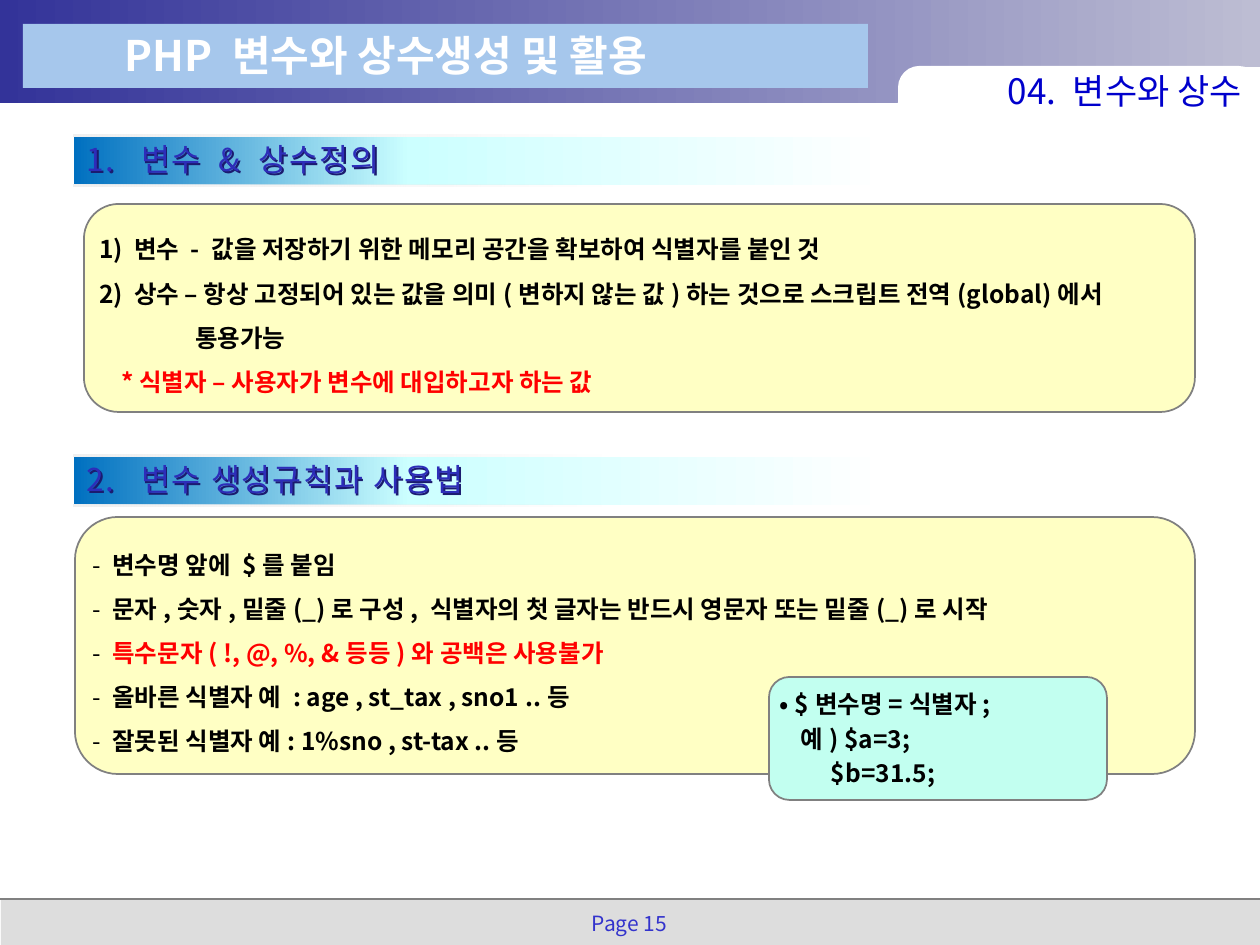
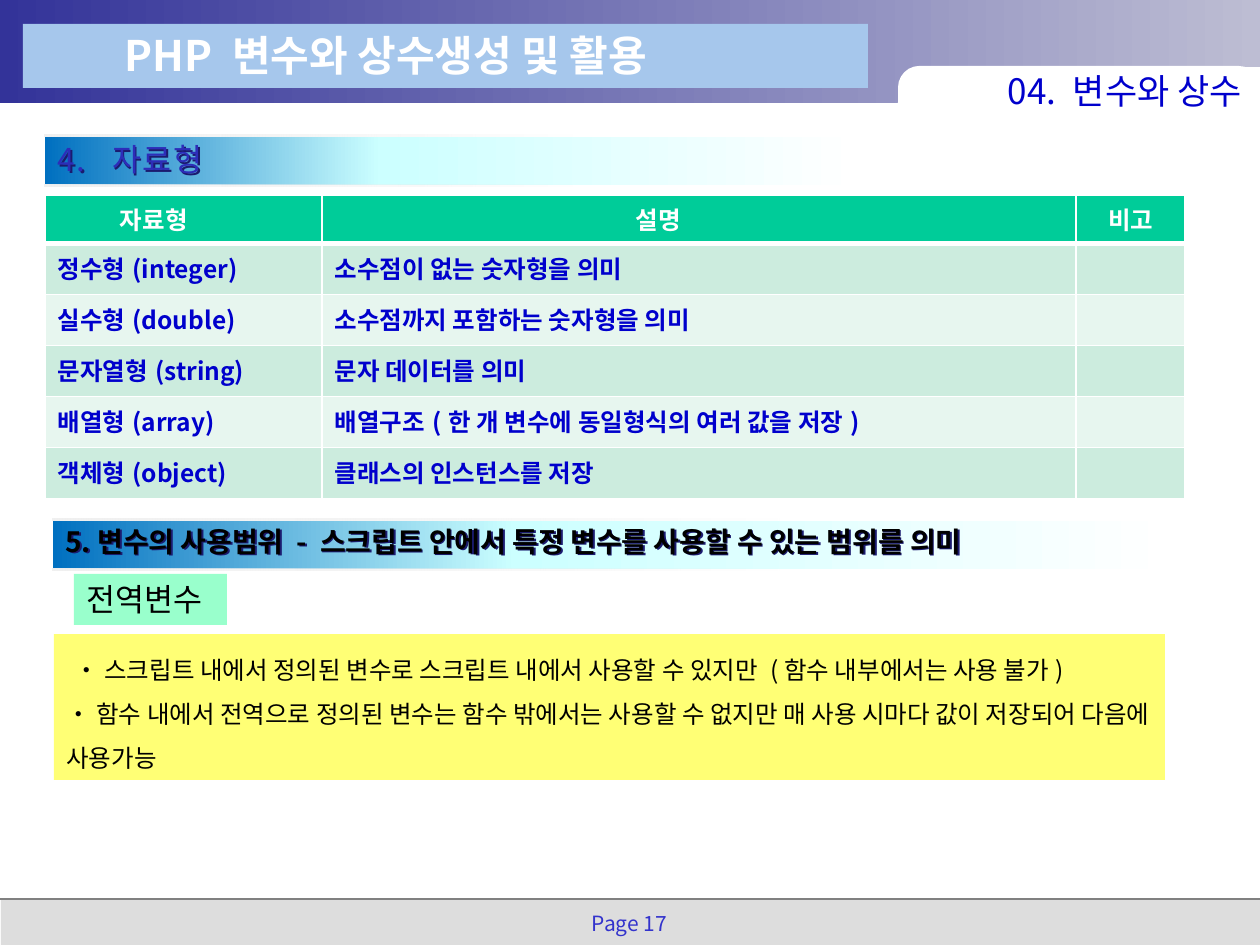
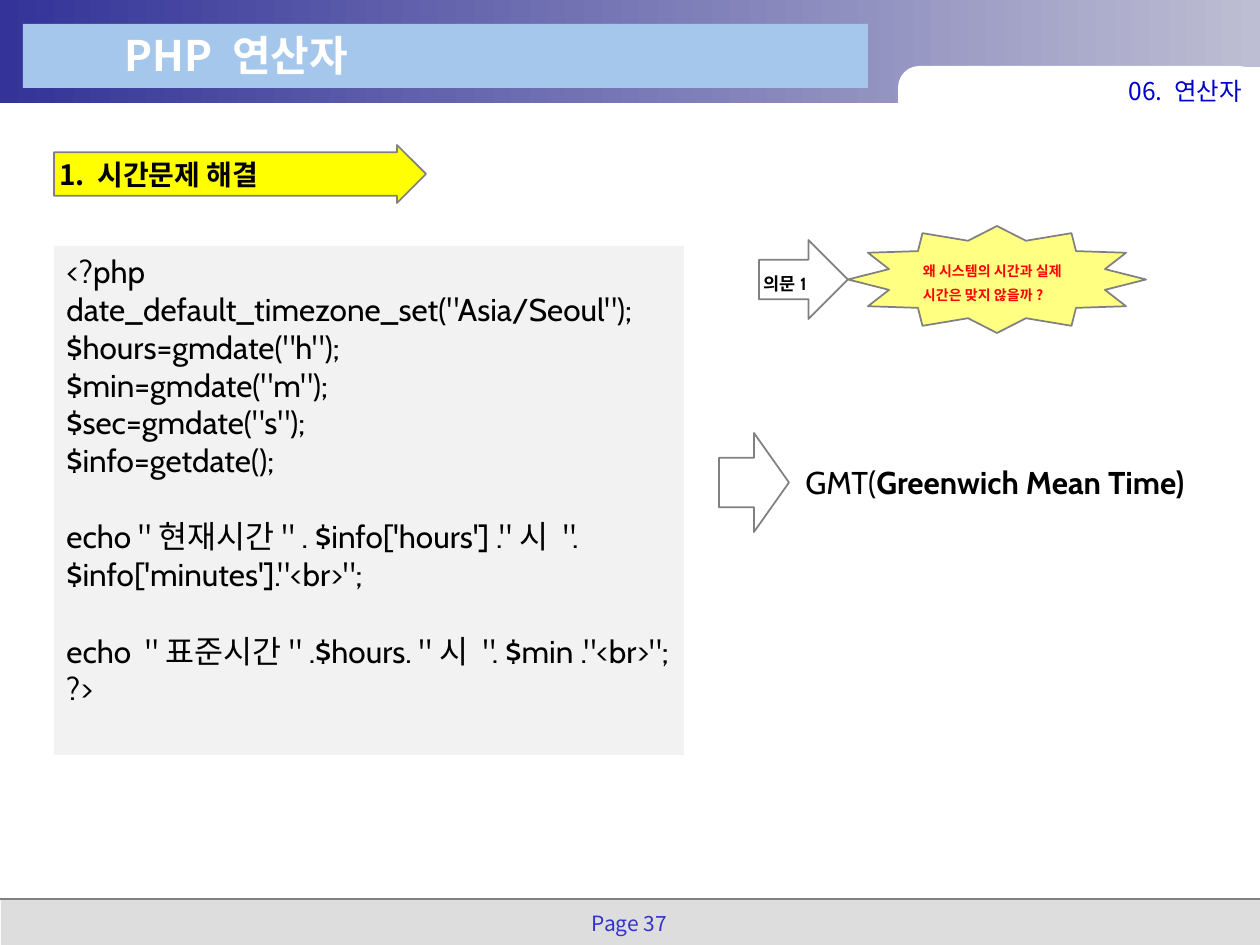
"""Build three slides of a PHP lecture on variables, data types and time functions."""
import lxml.etree
import pptx
import pptx.dml.color
import pptx.enum.shapes
import pptx.enum.text
import pptx.oxml.ns
import pptx.util

PIXEL = 914400 / 126
KOREAN, LATIN = "Noto Sans CJK KR", "Cabin"
BLACK, WHITE, RED, BLUE, GRAY = "000000", "FFFFFF", "FF0000", "0000CC", "808080"
YELLOW, MINT, PALE_MINT = "FFFF00", "CCECDE", "E7F6EF"
HEADING_STOPS = [(0, "0070C0", 100), (40, "CCFFFF", 100), (97, WHITE, 100)]
STRIP_STOPS = [(0, "F0F0F0", 100), (100, "EAEAEA", 0)]

KIND = pptx.enum.shapes.MSO_SHAPE
ALIGN = pptx.enum.text.PP_ALIGN
ANCHOR = pptx.enum.text.MSO_ANCHOR
qn = pptx.oxml.ns.qn


def paint(fill, colour):
    """Give a fill one solid hex colour, or none."""
    if colour is None:
        fill.background()
    else:
        fill.solid()
        fill.fore_color.rgb = pptx.dml.color.RGBColor.from_string(colour)


def dress(target, at=None, fill=None, line=None, alpha=None, stops=None, paragraphs=(),
          font=None, layout=None, margin=None, anchor=ANCHOR.TOP, wrap=True):
    """Place and paint a shape, or paint a table cell, and write its paragraphs."""
    paint(target.fill, fill)
    if at:
        for name, length in zip(("left", "top", "width", "height"), at):
            setattr(target, name, round(length * PIXEL))
        paint(target.line.fill, line)
        if line:
            target.line.width = pptx.util.Pt(1)
        target.shadow.inherit = False
        properties = target.element.spPr
        if alpha:
            colour = properties.find(qn("a:solidFill") + "/" + qn("a:srgbClr"))
            lxml.etree.SubElement(colour, qn("a:alpha"), val=str(alpha * 1000))
        if stops:
            target.fill.gradient()
            target.fill.gradient_angle = 0
            stop_list = properties.find(".//" + qn("a:gsLst"))
            stop_list.clear()
            for position, value, opacity in stops:
                stop = lxml.etree.SubElement(stop_list, qn("a:gs"), pos=str(position * 1000))
                colour = lxml.etree.SubElement(stop, qn("a:srgbClr"), val=value)
                lxml.etree.SubElement(colour, qn("a:alpha"), val=str(opacity * 1000))
        target.text_frame.word_wrap = wrap
        target.text_frame.auto_size = pptx.enum.text.MSO_AUTO_SIZE.NONE
        target.text_frame.vertical_anchor = anchor
        if margin is not None:
            for side in ("left", "top", "right", "bottom"):
                setattr(target.text_frame, "margin_" + side, round(margin * PIXEL))
    frame = target.text_frame
    for index, entry in enumerate(paragraphs):
        content, own_layout = entry if isinstance(entry, tuple) else (entry, {})
        paragraph = frame.paragraphs[0] if index == 0 else frame.add_paragraph()
        settings = {"alignment": ALIGN.LEFT, **(layout or {}), **own_layout}
        indent = settings.pop("indent", 0)
        for name, value in settings.items():
            setattr(paragraph, name, value)
        if indent:
            paragraph._p.get_or_add_pPr().set("marL", str(round(indent * PIXEL)))
        for text, own_font in [(content, {})] if isinstance(content, str) else content:
            run = paragraph.add_run()
            run.text = text
            style = {"size": 14, "bold": False, "name": KOREAN, "colour": BLACK,
                     **(font or {}), **own_font}
            paint(run.font.fill, style.pop("colour"))
            style["size"] = pptx.util.Pt(style["size"])
            for name, value in style.items():
                setattr(run.font, name, value)
            lxml.etree.SubElement(run.font._element, qn("a:ea"), typeface=KOREAN)
    return target


presentation = pptx.Presentation()
presentation.slide_width = round(1260 * PIXEL)
presentation.slide_height = round(945 * PIXEL)
title_only = presentation.slide_layouts[5]
for placeholder in list(title_only.placeholders):
    if placeholder.placeholder_format.idx != 0:
        placeholder.element.getparent().remove(placeholder.element)
slides = [presentation.slides.add_slide(title_only) for _ in range(3)]
variables, types, operators = slides

frame_parts = [
    (KIND.RECTANGLE, (1, 899, 1259, 49), {"fill": "DDDDDD"}),
    (KIND.RECTANGLE, (0, 0, 1260, 103),
     {"stops": [(0, "333399", 100), (100, "BDBDD3", 100)]}),
    (KIND.ROUNDED_RECTANGLE, (898, 66, 362, 74), {"fill": WHITE}),
    (KIND.RECTANGLE, (1147, 67, 113, 30), {"fill": WHITE}),
    (KIND.RECTANGLE, (23, 24, 845, 64), {"fill": "A6C7EC"}),
]
for kind, at, formats in frame_parts:
    part = dress(variables.shapes.add_shape(kind, 0, 0, 0, 0), at, **formats)
    if kind == KIND.ROUNDED_RECTANGLE:
        part.adjustments[0] = 0.29
    title_only.shapes.element.append(part.element)
footer_line = variables.shapes.add_connector(
    pptx.enum.shapes.MSO_CONNECTOR.STRAIGHT, 0, round(899 * PIXEL),
    presentation.slide_width, round(899 * PIXEL))
paint(footer_line.line.fill, GRAY)
footer_line.line.width = pptx.util.Pt(1)
lxml.etree.SubElement(footer_line.element.spPr, qn("a:effectLst"))
title_only.shapes.element.append(footer_line.element)

slide_labels = [
    ("PHP 변수와 상수생성 및 활용", "04. 변수와 상수", 20, "Page 15"),
    ("PHP 변수와 상수생성 및 활용", "04. 변수와 상수", 20, "Page 17"),
    ("PHP 연산자", "06. 연산자", 14, "Page 37"),
]
for slide, (title, section, section_size, page) in zip(slides, slide_labels):
    dress(slide.shapes.title, (112, 23, 626, 63), paragraphs=[title],
          font={"size": 24, "bold": True, "colour": WHITE})
    dress(slide.shapes.add_textbox(0, 0, 0, 0), (907, 64, 340, 53), paragraphs=[section],
          font={"size": section_size, "colour": BLUE}, layout={"alignment": ALIGN.RIGHT},
          margin=5, anchor=ANCHOR.MIDDLE)
    dress(slide.shapes.add_textbox(0, 0, 0, 0), (573, 907, 113, 35), paragraphs=[page],
          font={"size": 12, "colour": "3333CC"},
          layout={"alignment": ALIGN.CENTER, "line_spacing": 0.9})

heading_font = {"size": 18, "colour": "2D2DB9"}
headings = [
    (variables, "1.  변수 & 상수정의", 74, 137, 840, heading_font),
    (variables, "2.  변수 생성규칙과 사용법", 74, 457, 840, heading_font),
    (types, "4.  자료형", 45, 137, 840, heading_font),
    (types, "5.변수의 사용범위 - 스크립트 안에서 특정 변수를 사용할 수 있는 범위를 의미",
     53, 521, 1156, {"size": 16, "bold": True}),
]
for slide, text, left, top, width, font in headings:
    group = slide.shapes.add_group_shape()
    strip_width = round(width * 0.63)
    for at, stops in [((left, top, width, 48), HEADING_STOPS),
                      ((left, top - 2, strip_width, 2), STRIP_STOPS),
                      ((left, top + 48, strip_width, 2), STRIP_STOPS)]:
        dress(group.shapes.add_shape(KIND.RECTANGLE, 0, 0, 0, 0), at, stops=stops)
    label = dress(group.shapes.add_textbox(0, 0, 0, 0), (left, top - 3, width + 4, 50),
                  paragraphs=[text], font=font)
    if font is heading_font:
        label.text_frame.paragraphs[0].runs[0].font._element.set("spc", "100")
    shadow = lxml.etree.SubElement(label.element.spPr.find(qn("a:effectLst")),
                                   qn("a:outerShdw"), dist="17961", dir="2700000")
    lxml.etree.SubElement(shadow, qn("a:srgbClr"), val="1B1B6F")

bold, red = {"bold": True}, {"bold": True, "colour": RED}
spacious = {"line_spacing": 1.5}
panel = {"line": GRAY, "margin": 5, "anchor": ANCHOR.MIDDLE}
definitions = [
    "1) 변수 - 값을 저장하기 위한 메모리 공간을 확보하여 식별자를 붙인 것",
    "2) 상수 – 항상 고정되어 있는 값을 의미(변하지 않는 값)하는 것으로 스크립트 전역(global)에서",
    ("통용가능", {"indent": 96}),
    ([("*식별자 – 사용자가 변수에 대입하고자 하는 값", red)], {"indent": 22}),
]
rules = [
    ("변수명 앞에 $를 붙임", bold),
    ("문자,숫자,밑줄(_)로 구성, 식별자의 첫 글자는 반드시 영문자 또는 밑줄(_)로 시작", bold),
    ("특수문자( !, @, %, &등등)와 공백은 사용불가", red),
    ("올바른 식별자 예 : age , st_tax , sno1 ..등", bold),
    ("잘못된 식별자 예: 1%sno , st-tax ..등", bold),
]
example = ["• $변수명=식별자;", ("예) $a=3;", {"indent": 21}), ("$b=31.5;", {"indent": 51})]
variable_panels = [
    ((84, 204, 1111, 208), {"fill": YELLOW, "alpha": 23, "paragraphs": definitions,
                            "font": bold, "layout": spacious}),
    ((75, 517, 1120, 257), {"fill": YELLOW, "alpha": 23, "layout": spacious,
                            "paragraphs": [[("- ", {}), rule] for rule in rules]}),
    ((769, 677, 338, 123), {"fill": "C2FFF0", "paragraphs": example, "font": bold,
                            "layout": {"space_before": pptx.util.Pt(2.8)}}),
]
for at, formats in variable_panels:
    dress(variables.shapes.add_shape(KIND.ROUNDED_RECTANGLE, 0, 0, 0, 0), at,
          **panel, **formats)

type_rows = [
    ("자료형", "설명", "비고"),
    ("정수형(integer)", "소수점이 없는 숫자형을 의미", ""),
    ("실수형(double)", "소수점까지 포함하는 숫자형을 의미", ""),
    ("문자열형(string)", "문자 데이터를 의미", ""),
    ("배열형(array)", "배열구조(한 개 변수에 동일형식의 여러 값을 저장)", ""),
    ("객체형(object)", "클래스의 인스턴스를 저장", ""),
]
column_widths = [277, 754, 109]
header_right_margins = [72, 94, 12]
table = types.shapes.add_table(
    len(type_rows), len(column_widths),
    *[round(length * PIXEL) for length in (45, 195, sum(column_widths), 277)]).table
for column, width in zip(table.columns, column_widths):
    column.width = round(width * PIXEL)
for row_index, row in enumerate(type_rows):
    table.rows[row_index].height = round(46.2 * PIXEL)
    for column_index, text in enumerate(row):
        cell = table.cell(row_index, column_index)
        header = row_index == 0
        dress(cell, fill="00CC99" if header else MINT if row_index % 2 else PALE_MINT,
              paragraphs=[text] if text else [],
              font={"bold": True, "colour": WHITE if header else BLUE},
              layout={"alignment": ALIGN.CENTER if header else ALIGN.LEFT})
        if header:
            cell.margin_right = round(header_right_margins[column_index] * PIXEL)
        cell_properties = cell._tc.get_or_add_tcPr()
        for position, side in enumerate(("lnL", "lnR", "lnT", "lnB")):
            thick = (header and side == "lnB") or (row_index == 1 and side == "lnT")
            border = lxml.etree.Element(qn("a:" + side), w="38100" if thick else "12700")
            border_fill = lxml.etree.SubElement(border, qn("a:solidFill"))
            lxml.etree.SubElement(border_fill, qn("a:srgbClr"), val=WHITE)
            cell_properties.insert(position, border)

global_notes = [
    ("• 스크립트 내에서 정의된 변수로 스크립트 내에서 사용할 수 있지만 (함수 내부에서는 사용 불가)",
     {"indent": 8}),
    "• 함수 내에서 전역으로 정의된 변수는 함수 밖에서는 사용할 수 없지만 매 사용 시마다 값이 저장되어 다음에 사용가능",
]
dress(types.shapes.add_shape(KIND.RECTANGLE, 0, 0, 0, 0), (54, 634, 1111, 146),
      fill=YELLOW, alpha=54, paragraphs=global_notes, layout=spacious)
dress(types.shapes.add_shape(KIND.RECTANGLE, 0, 0, 0, 0), (74, 574, 153, 51),
      fill="99FFCC", paragraphs=["전역변수"], font={"size": 18}, wrap=False)

after_gap = {"space_before": pptx.util.Pt(22)}
code = [
    "<?php",
    'date_default_timezone_set("Asia/Seoul");',
    '$hours=gmdate("h");',
    '$min=gmdate("m");',
    '$sec=gmdate("s");',
    "$info=getdate();",
    ('echo "현재시간" . $info[\'hours\'] ."시 ". $info[\'minutes\']."<br>";', after_gap),
    ('echo  "표준시간" .$hours. "시 ". $min ."<br>";', after_gap),
    "?>",
]
code_font = {"size": 18, "name": LATIN}
dress(operators.shapes.add_shape(KIND.RECTANGLE, 0, 0, 0, 0), (54, 246, 630, 509),
      fill="F2F2F2", paragraphs=code, font=code_font)
dress(operators.shapes.add_textbox(0, 0, 0, 0), (793, 457, 440, 50), font=code_font,
      paragraphs=[[("GMT(", {}), ("Greenwich Mean Time)", bold)]], wrap=False)

question_layout = {"line_spacing": 1.4, "space_before": pptx.util.Pt(2)}
time_shapes = [
    (KIND.RIGHT_ARROW, (54, 145, 372, 58),
     {"fill": YELLOW, "paragraphs": ["1. 시간문제 해결"], "font": {"size": 16, "bold": True}}),
    (KIND.RIGHT_ARROW, (719, 433, 70, 99), {}),
    (KIND.RIGHT_ARROW, (759, 240, 89, 79),
     {"paragraphs": ["의문1"], "font": {"size": 10, "bold": True, "name": LATIN},
      "layout": question_layout}),
    (KIND.STAR_12_POINT, (848, 226, 298, 107),
     {"fill": YELLOW, "alpha": 49, "paragraphs": ["왜 시스템의 시간과 실제 시간은 맞지 않을까?"],
      "font": {"size": 8, **red}, "layout": question_layout}),
]
for kind, at, formats in time_shapes:
    shape = dress(operators.shapes.add_shape(kind, 0, 0, 0, 0), at, **panel, **formats)
    if kind == KIND.RIGHT_ARROW and formats.get("fill"):
        shape.adjustments[0] = 0.75

presentation.save("out.pptx")
